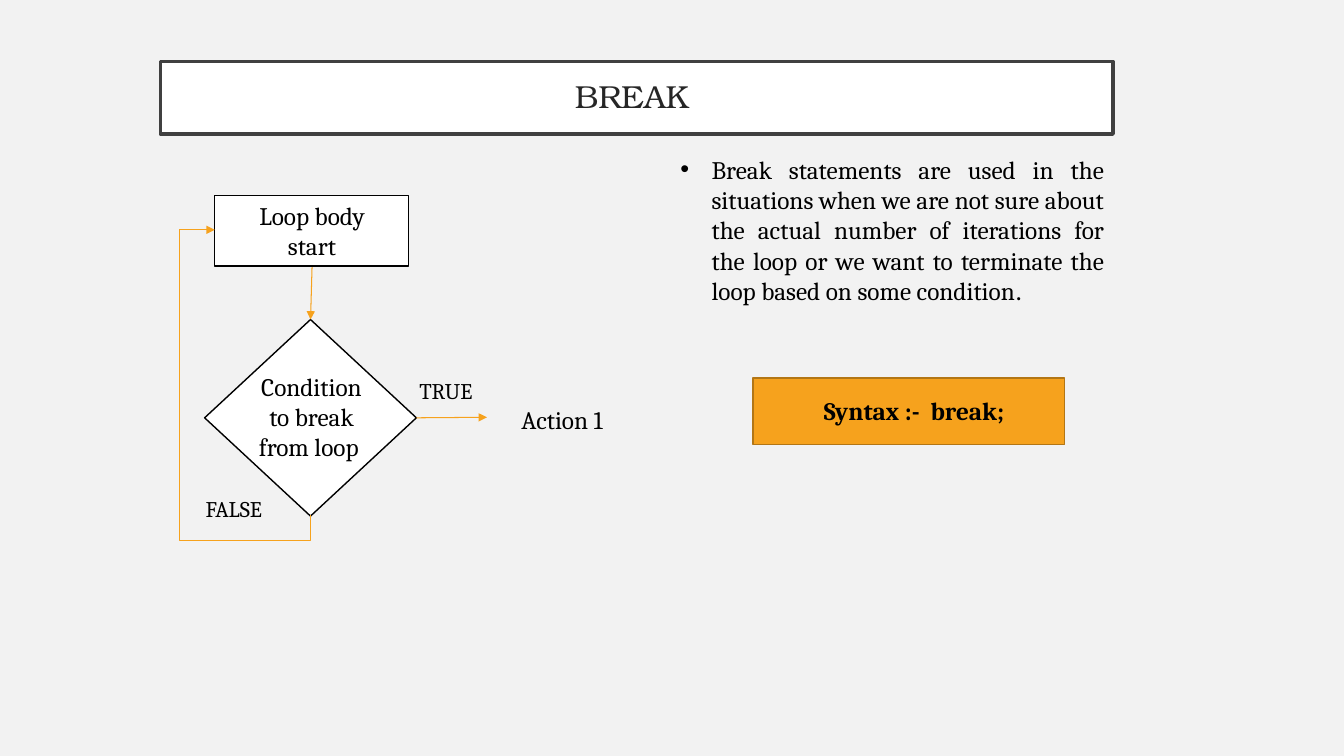
"""Build a slide that explains the break statement with a small flowchart."""
import dataclasses

import lxml.etree
import pptx
import pptx.dml.color
import pptx.enum.shapes
import pptx.enum.text
import pptx.oxml.ns
import pptx.util

Inches = pptx.util.Inches
ALIGN = pptx.enum.text.PP_ALIGN
SHAPE = pptx.enum.shapes.MSO_SHAPE
CONNECTOR = pptx.enum.shapes.MSO_CONNECTOR
TOP, LEFT, BOTTOM, RIGHT = range(4)
BLACK, WHITE, ORANGE = "000000", "FFFFFF", "F6A21D"
BODY_FONT, TITLE_FONT = "Cambria", "TeX Gyre Bonum"


@dataclasses.dataclass(frozen=True)
class Area:
    left: float
    top: float
    width: float
    height: float

    def lengths(self) -> tuple:
        return tuple(Inches(value) for value in dataclasses.astuple(self))


@dataclasses.dataclass(frozen=True)
class Block:
    kind: int
    area: Area
    fill: str = WHITE
    line: str = BLACK


@dataclasses.dataclass(frozen=True)
class Label:
    text: str
    area: Area
    size: float = 18
    align: int = ALIGN.CENTER
    bold: bool = False


BLOCKS = {
    "start": Block(SHAPE.RECTANGLE, Area(2.13, 1.94, 1.92, 0.7)),
    "condition": Block(SHAPE.DIAMOND, Area(2.03, 3.17, 2.1, 1.95)),
    "syntax": Block(SHAPE.RECTANGLE, Area(7.47, 3.75, 3.09, 0.66), ORANGE, "B37615"),
}
LABELS = {
    "start": Label("Loop body start", Area(2.28, 1.94, 1.63, 0.71)),
    "condition": Label("Condition to break from loop ", Area(2.37, 3.63, 1.44, 1.01)),
    "action": Label("Action 1", Area(4.85, 3.96, 1.45, 0.4)),
    "true": Label("TRUE", Area(4.06, 3.69, 1.65, 0.37), 16, ALIGN.LEFT),
    "false": Label("FALSE", Area(1.94, 4.86, 1.12, 0.37), 16, ALIGN.LEFT),
    "syntax": Label("Syntax :-  break;", Area(8.04, 3.87, 2.05, 0.4), bold=True),
}
EXPLANATION = Label(
    "Break statements are used in the situations when we are not sure about "
    "the actual number of iterations for the loop or we want to terminate the "
    "loop based on some condition",
    Area(6.65, 1.48, 4.4, 1.92), align=ALIGN.JUSTIFY,
)


def color(code: str) -> pptx.dml.color.RGBColor:
    return pptx.dml.color.RGBColor.from_string(code)


def add_element(parent, tag: str, **attributes: str):
    name = pptx.oxml.ns.qn(tag)
    return lxml.etree.SubElement(parent, name, attributes)


def write(para, text: str, *, size: float = 18, font: str = BODY_FONT,
          code: str = BLACK, bold: bool = False) -> None:
    span = para.add_run()
    span.text = text
    span.font.size = pptx.util.Pt(size)
    span.font.name = font
    span.font.bold = bold
    span.font.color.rgb = color(code)


def paint(shape, fill: str, line: str, weight: float) -> None:
    shape.fill.solid()
    shape.fill.fore_color.rgb = color(fill)
    shape.line.color.rgb = color(line)
    shape.line.width = pptx.util.Pt(weight)


def add_block(page, block: Block):
    shape = page.shapes.add_shape(block.kind, *block.area.lengths())
    shape.shadow.inherit = False
    paint(shape, block.fill, block.line, 1)
    return shape


def add_label(page, label: Label):
    box = page.shapes.add_textbox(*label.area.lengths())
    box.text_frame.word_wrap = True
    para = box.text_frame.paragraphs[0]
    para.alignment = label.align
    write(para, label.text, size=label.size, bold=label.bold)
    return box


def add_arrow(page, kind: int, source, source_side: int, target=None,
              target_side: int = LEFT, end: tuple = (0, 0)):
    arrow = page.shapes.add_connector(kind, 0, 0, *(Inches(value) for value in end))
    arrow.begin_connect(source, source_side)
    if target is not None:
        arrow.end_connect(target, target_side)
    arrow.line.color.rgb = color(ORANGE)
    arrow.line.width = pptx.util.Pt(0.75)
    add_element(arrow.line._get_or_add_ln(), "a:tailEnd", type="triangle")
    add_element(arrow._element.spPr, "a:effectLst")
    return arrow


def route_around(arrow, area: Area, adjustments: tuple) -> None:
    arrow.left, arrow.top, arrow.width, arrow.height = area.lengths()
    properties = arrow._element.spPr
    frame = properties.find(pptx.oxml.ns.qn("a:xfrm"))
    frame.set("rot", str(90 * 60000))
    frame.set("flipH", "1")
    frame.set("flipV", "0")
    geometry = properties.find(pptx.oxml.ns.qn("a:prstGeom"))
    geometry.set("prst", "bentConnector4")
    guides = geometry.find(pptx.oxml.ns.qn("a:avLst"))
    for number, value in enumerate(adjustments, 1):
        add_element(guides, "a:gd", name=f"adj{number}", fmla=f"val {value}")


def format_title(title) -> None:
    title.left, title.top, title.width, title.height = Area(1.59, 0.61, 9.45, 0.72).lengths()
    paint(title, WHITE, "404040", 2.5)
    frame = title.text_frame
    frame.auto_size = pptx.enum.text.MSO_AUTO_SIZE.NONE
    frame.vertical_anchor = pptx.enum.text.MSO_ANCHOR.MIDDLE
    frame.margin_left = frame.margin_right = Inches(0.2)
    frame.margin_top = frame.margin_bottom = Inches(0.2)
    para = frame.paragraphs[0]
    para.alignment = ALIGN.CENTER
    para.line_spacing = 0.9
    write(para, "BREAK ", size=22.7, font=TITLE_FONT, code="262626")


def add_explanation(page) -> None:
    para = add_label(page, EXPLANATION).text_frame.paragraphs[0]
    write(para, ".", font=TITLE_FONT)
    properties = para._p.get_or_add_pPr()
    properties.set("marL", str(Inches(0.31)))
    properties.set("indent", str(-Inches(0.31)))
    bullet_color = add_element(properties, "a:buClr")
    add_element(bullet_color, "a:srgbClr", val=BLACK)
    add_element(properties, "a:buFont", typeface="Arial")
    add_element(properties, "a:buChar", char="•")


def main() -> None:
    deck = pptx.Presentation()
    deck.slide_width, deck.slide_height = Inches(13.33), Inches(7.5)
    page = deck.slides.add_slide(deck.slide_layouts.get_by_name("Title Only"))
    page.background.fill.solid()
    page.background.fill.fore_color.rgb = color("F2F2F2")
    format_title(page.shapes.title)
    blocks = {name: add_block(page, block) for name, block in BLOCKS.items()}
    labels = {name: add_label(page, label) for name, label in LABELS.items()}
    add_explanation(page)
    condition = blocks["condition"]
    add_arrow(page, CONNECTOR.STRAIGHT, labels["start"], BOTTOM, condition, TOP)
    add_arrow(page, CONNECTOR.STRAIGHT, condition, RIGHT, end=(4.83, 4.14))
    loop = add_arrow(page, CONNECTOR.ELBOW, condition, BOTTOM, blocks["start"], LEFT)
    route_around(loop, Area(1.19, 3.22, 2.83, 0.95), (-8800, 136300))
    deck.save("out.pptx")


if __name__ == "__main__":
    main()
